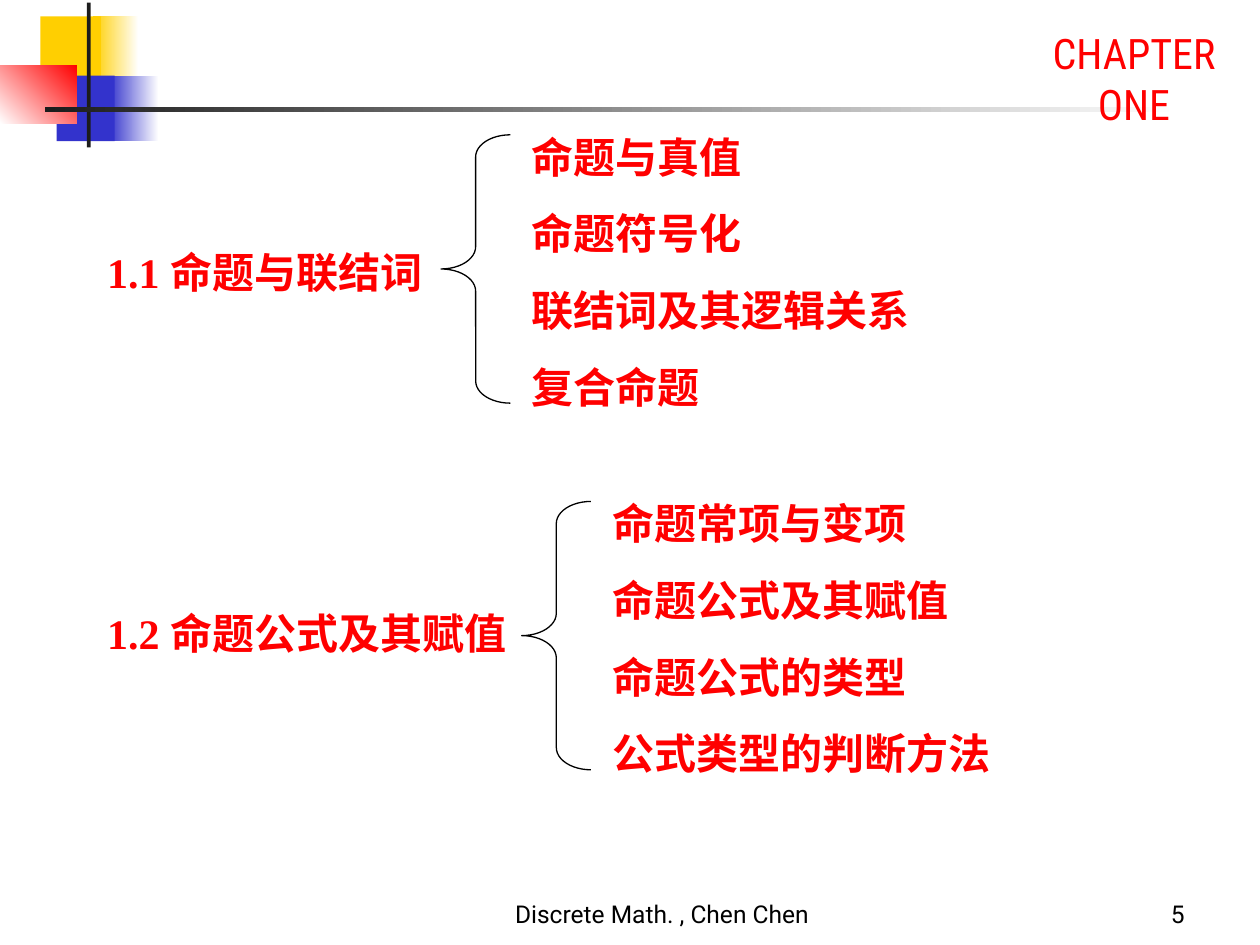
from lxml import etree
from pptx import Presentation
from pptx.dml.color import RGBColor
from pptx.enum import shapes, text
from pptx.oxml import ns
from pptx.util import Inches, Pt

COLORS = {
    "red": "FF0000",
    "yellow": "FFCF01",
    "blue": "3333CC",
    "dark": "1C1C1C",
    "white": "FFFFFF",
    "black": "000000",
}

CHAPTER = "CHAPTER ONE"
SECTIONS = [
    {
        "number": "1.1",
        "name": "命题与联结词",
        "heading_box": (0.75, 1.91, 2.99, 0.5),
        "brace_at": (3.5, 1.07),
        "topics": ["命题与真值", "命题符号化", "联结词及其逻辑关系", "复合命题"],
    },
    {
        "number": "1.2",
        "name": "命题公式及其赋值",
        "heading_box": (0.75, 4.77, 3.47, 0.5),
        "brace_at": (4.14, 3.98),
        "topics": ["命题常项与变项", "命题公式及其赋值", "命题公式的类型", "公式类型的判断方法"],
    },
]
FOOTERS = [
    ("Discrete Math. , Chen Chen", (3.67, 6.92, 3.17, 0.5), text.PP_ALIGN.CENTER),
    ("5", (7.42, 6.92, 2.08, 0.5), text.PP_ALIGN.RIGHT),
]
ORNAMENTS = [
    ((0.74, 0.13, 0.36, 0.52), ("white", "yellow"), 180),
    ((0.86, 0.6, 0.4, 0.52), ("white", "blue"), 180),
    ((0.32, 0.13, 0.48, 0.52), ("yellow",), None),
    ((0.45, 0.6, 0.46, 0.52), ("blue",), None),
    ((0, 0.52, 0.61, 0.46), ("red", "white"), 225),
    ((0.69, 0.02, 0.03, 1.15), ("dark",), None),
    ((0.36, 0.85, 9, 0.04), ("white", "dark"), 180),
]
BRACE_SIZE = (0.55, 2.13)
LIST_SIZE = (3.62, 2.33)
LIST_OFFSET = (0.62, -0.08)
NAME_TAB = 0.56


def color(name):
    return RGBColor.from_string(COLORS[name])


def place(item, box):
    item.left, item.top, item.width, item.height = map(Inches, box)


def prepare(item, box, anchor):
    place(item, box)
    frame = item.text_frame
    frame.word_wrap = True
    frame.auto_size = text.MSO_AUTO_SIZE.NONE
    frame.vertical_anchor = anchor
    frame.margin_left = frame.margin_right = Inches(0.1)
    frame.margin_top = frame.margin_bottom = Inches(0.05)
    return frame


def write(paragraph, words, size, font, ink, bold=False):
    run = paragraph.add_run()
    run.text = words
    run.font.size = Pt(size)
    run.font.name = font
    run.font.bold = bold
    run.font.color.rgb = color(ink)


def write_lines(item, box, lines, tab=None):
    frame = prepare(item, box, text.MSO_ANCHOR.TOP)
    for index, line in enumerate(lines):
        paragraph = frame.add_paragraph() if index else frame.paragraphs[0]
        paragraph.space_before = Pt(15 if index else 0)
        properties = paragraph._p.get_or_add_pPr()
        properties.set("marL", "0")
        properties.set("indent", "0")
        etree.SubElement(properties, ns.qn("a:buNone"))
        if tab:
            stops = etree.SubElement(properties, ns.qn("a:tabLst"))
            etree.SubElement(stops, ns.qn("a:tab"), pos=str(Inches(tab)), algn="l")
        write(paragraph, line, 24, "Times New Roman", "red", True)


def add_ornament(slide, box, inks, angle):
    block = slide.shapes.add_shape(shapes.MSO_SHAPE.RECTANGLE, *map(Inches, box))
    block.shadow.inherit = False
    block.line.fill.background()
    if angle is None:
        block.fill.solid()
        block.fill.fore_color.rgb = color(inks[0])
        return
    block.fill.gradient()
    block.fill.gradient_angle = angle
    for stop, ink in zip(block.fill.gradient_stops, inks):
        stop.color.rgb = color(ink)


def add_brace(slide, corner):
    brace = slide.shapes.add_shape(
        shapes.MSO_SHAPE.LEFT_BRACE, *map(Inches, corner + BRACE_SIZE))
    brace.adjustments[0] = 0.32
    brace.shadow.inherit = False
    brace.fill.background()
    brace.line.color.rgb = color("black")
    brace.line.width = Pt(0.75)


def main():
    deck = Presentation()
    deck.slide_width, deck.slide_height = Inches(10), Inches(7.5)
    slide = deck.slides.add_slide(deck.slide_layouts.get_by_name("Comparison"))
    chapter, *bodies = slide.placeholders

    for ornament in ORNAMENTS:
        add_ornament(slide, *ornament)

    frame = prepare(chapter, (8, 0.17, 2, 0.9), text.MSO_ANCHOR.TOP)
    frame.paragraphs[0].alignment = text.PP_ALIGN.CENTER
    write(frame.paragraphs[0], CHAPTER, 24, "Roboto Condensed", "red")
    slide.shapes.element.append(chapter.element)

    for section, heading, topics in zip(SECTIONS, bodies[::2], bodies[1::2]):
        label = f"{section['number']}\t{section['name']}"
        write_lines(heading, section["heading_box"], [label], NAME_TAB)
        add_brace(slide, section["brace_at"])
        corner = tuple(a + b for a, b in zip(section["brace_at"], LIST_OFFSET))
        write_lines(topics, corner + LIST_SIZE, section["topics"])

    for words, box, alignment in FOOTERS:
        footer = slide.shapes.add_textbox(*map(Inches, box))
        frame = prepare(footer, box, text.MSO_ANCHOR.BOTTOM)
        frame.paragraphs[0].alignment = alignment
        write(frame.paragraphs[0], words, 14, "Roboto", "black")

    deck.save("out.pptx")


if __name__ == "__main__":
    main()
